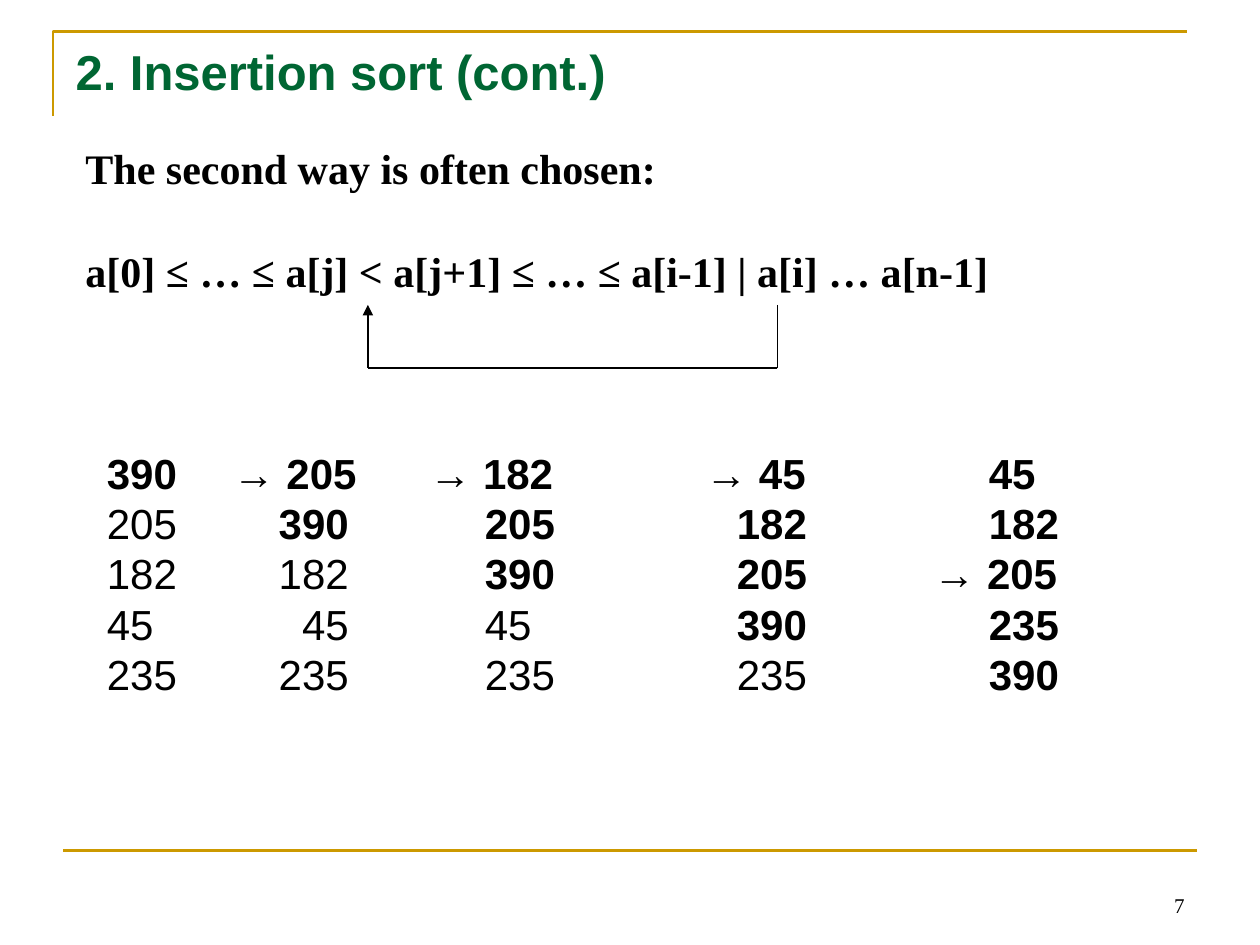
from itertools import pairwise

from lxml import etree
from pptx import Presentation
from pptx.dml.color import RGBColor
from pptx.enum.shapes import MSO_CONNECTOR
from pptx.enum.text import MSO_ANCHOR, PP_ALIGN
from pptx.oxml.ns import qn
from pptx.util import Inches, Pt

STRAIGHT = MSO_CONNECTOR.STRAIGHT
GOLD = RGBColor(0xCC, 0x99, 0x00)
GREEN = RGBColor(0x00, 0x66, 0x33)
BLACK = RGBColor(0x00, 0x00, 0x00)
SANS, SERIF = "Arial", "Times New Roman"

TITLE = "2. Insertion sort (cont.)"
INTRO = ["The second way is often chosen:",
         "a[0] ≤ … ≤ a[j] < a[j+1] ≤ … ≤ a[i-1] | a[i] … a[n-1]"]
PAGE = "7"
# One list per pass, with the row that has just been inserted
PASSES = [
    ([390, 205, 182, 45, 235], None),
    ([205, 390, 182, 45, 235], 0),
    ([182, 205, 390, 45, 235], 0),
    ([45, 182, 205, 390, 235], 0),
    ([45, 182, 205, 235, 390], 2),
]
# For each pass after the first: arrow stop, number stop, number alignment
STOPS = [(1, 1.92, "r"), (2.56, 3, "l"), (4.75, 5, "l"), (6.56, 7, "l")]
INSERT_ROUTE = [(6.17, 2.42), (6.17, 2.92), (2.92, 2.92), (2.92, 2.42)]


def add_line(s, start, end, color, width, arrow=False):
    line = s.shapes.add_connector(STRAIGHT, *map(Inches, start + end))
    line.line.color.rgb = color
    line.line.width = Pt(width)
    if arrow:
        etree.SubElement(line.line._get_or_add_ln(), qn("a:tailEnd"), type="triangle")
    etree.SubElement(line._element.spPr, qn("a:effectLst"))


def add_text_box(s, *box):
    tf = s.shapes.add_textbox(*map(Inches, box)).text_frame
    tf.word_wrap = True
    return tf


def add_run(p, text, size, font, color=BLACK, bold=False):
    r = p.add_run()
    r.text = text
    r.font.size, r.font.name, r.font.bold = Pt(size), font, bold
    r.font.color.rgb = color


def paragraphs(tf, count):
    return [tf.paragraphs[0]] + [tf.add_paragraph() for _ in range(count - 1)]


def set_tab_stops(p):
    tabs = etree.SubElement(p._p.get_or_add_pPr(), qn("a:tabLst"))
    for arrow, number, align in STOPS:
        for pos, algn in ((arrow, "l"), (number, align)):
            etree.SubElement(tabs, qn("a:tab"), pos=str(Inches(pos)), algn=algn)


def add_frame(s):
    fb = s.shapes.build_freeform(Inches(0.42), Inches(0.92))
    fb.add_line_segments([(Inches(0.42), Inches(0.25)), (Inches(9.42), Inches(0.25))],
                         close=False)
    corner = fb.convert_to_shape()
    corner.shadow.inherit = False
    corner.fill.background()
    corner.line.color.rgb = GOLD
    corner.line.width = Pt(1.5)
    add_line(s, (0.5, 6.75), (9.5, 6.75), GOLD, 1.5)


def add_title(s):
    title = s.shapes.title
    title.left, title.top, title.width, title.height = map(Inches, (0.5, 0.3, 9, 0.53))
    tf = title.text_frame
    tf.vertical_anchor = MSO_ANCHOR.MIDDLE
    p = tf.paragraphs[0]
    p.alignment = PP_ALIGN.LEFT
    add_run(p, TITLE, 28, SANS, GREEN, bold=True)


def add_passes(s):
    """Rows are array positions, columns are passes; the sorted part is bold."""
    tf = add_text_box(s, 0.75, 3.5, 8.5, 2.1)
    for row, p in enumerate(paragraphs(tf, len(PASSES[0][0]))):
        set_tab_stops(p)
        for step, (values, inserted) in enumerate(PASSES):
            if step == 0:
                lead = ""
            else:
                lead = "\t→ " if row == inserted else "\t\t"
            add_run(p, f"{lead}{values[row]}", 24, SANS, bold=row <= step)


def main():
    prs = Presentation()
    prs.slide_width, prs.slide_height = Inches(10), Inches(7.5)
    s = prs.slides.add_slide(prs.slide_layouts[5])
    add_frame(s)
    add_title(s)

    intro = add_text_box(s, 0.58, 1.08, 8.92, 1.3)
    for p, text in zip(paragraphs(intro, len(INTRO)), INTRO):
        add_run(p, text, 24, SERIF, bold=True)
    p.space_before = Pt(30)

    add_passes(s)
    legs = list(pairwise(INSERT_ROUTE))
    for leg in legs:
        add_line(s, *leg, BLACK, 0.75, arrow=leg == legs[-1])

    page = add_text_box(s, 7.17, 6.83, 2.33, 0.5)
    page.vertical_anchor = MSO_ANCHOR.BOTTOM
    page.paragraphs[0].alignment = PP_ALIGN.RIGHT
    add_run(page.paragraphs[0], PAGE, 12, SERIF)

    prs.save("out.pptx")


if __name__ == "__main__":
    main()
